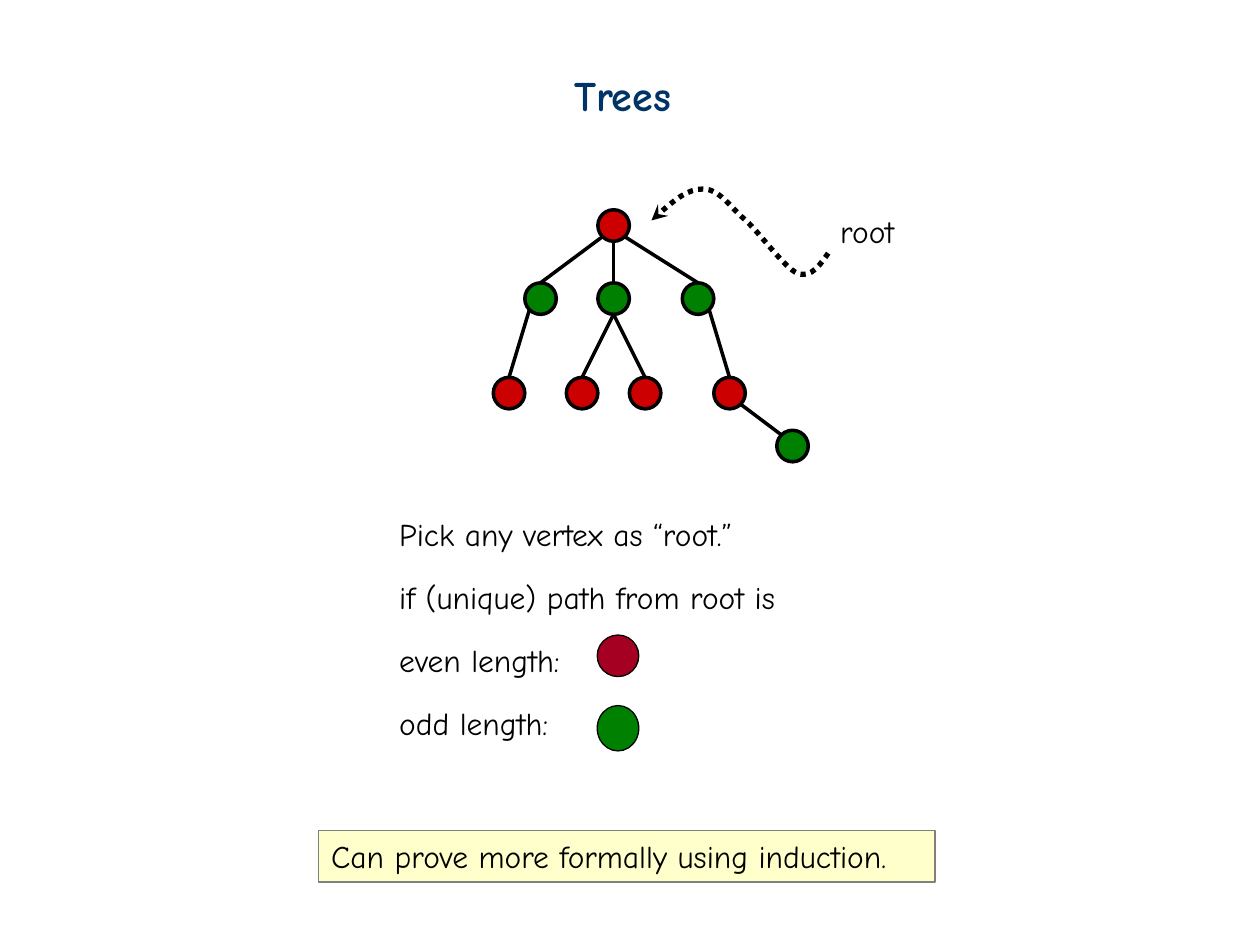
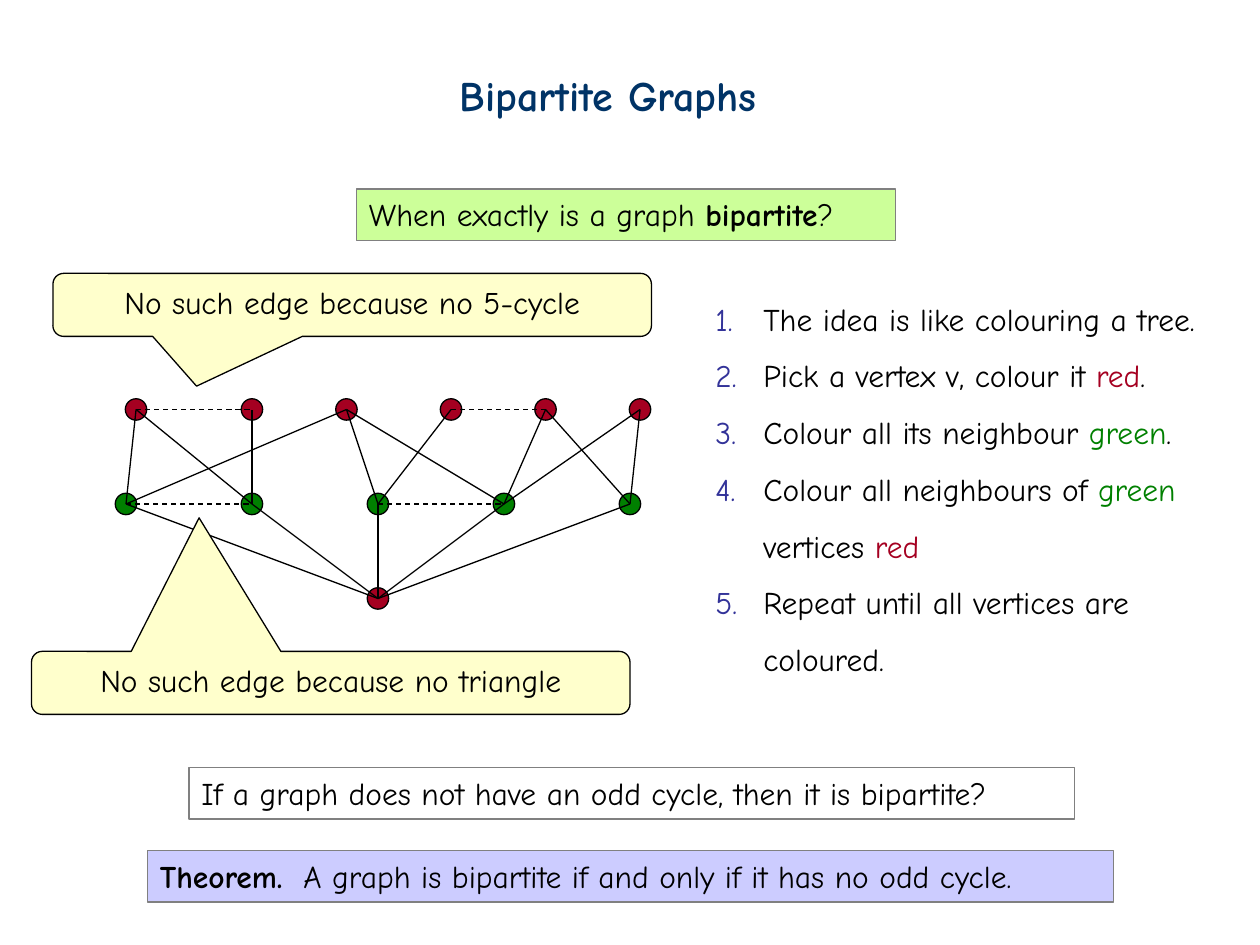
from dataclasses import dataclass
from math import cos, radians, sin

from lxml import etree
from pptx import Presentation
from pptx import util as u
from pptx.dml.color import RGBColor
from pptx.enum import dml, shapes, text
from pptx.oxml.ns import qn


@dataclass(frozen=True)
class Theme:
    font: str = "Comic Neue"
    title_size: int = 24
    body_size: int = 18
    title: str = "003366"
    ink: str = "000000"
    red: str = "A50021"
    bright_red: str = "CC0000"
    green: str = "008000"
    number: str = "333399"
    frame: str = "808080"
    note: str = "FFFFCC"
    question: str = "CCFF99"
    theorem: str = "CCCCFF"
    thin: float = 0.75
    thick: float = 2


THEME = Theme()
OVAL = shapes.MSO_SHAPE.OVAL
RECTANGLE = shapes.MSO_SHAPE.RECTANGLE
CALLOUT = shapes.MSO_SHAPE.ROUNDED_RECTANGULAR_CALLOUT


# ---- Shared helpers ----
def inches(*lengths):
    return [u.Inches(length) for length in lengths]


def sub(parent, tag, **attributes):
    return etree.SubElement(parent, qn(tag), attributes)


def write(frame, paragraphs, size=THEME.body_size, color=THEME.ink, bold=False,
          align=text.PP_ALIGN.LEFT, hanging=0, spacing=None, space_before=0,
          numbered=False, tab=None):
    """Fill a frame; a paragraph is a list of runs, a run is (text, changes)."""
    frame.word_wrap = True
    frame.vertical_anchor = text.MSO_ANCHOR.TOP
    for index, runs in enumerate(paragraphs):
        paragraph = frame.paragraphs[0] if index == 0 else frame.add_paragraph()
        properties = paragraph._p.get_or_add_pPr()
        if hanging:
            properties.set("marL", str(u.Inches(hanging)))
            properties.set("indent", str(-u.Inches(hanging)))
        if numbered:
            sub(sub(properties, "a:buClr"), "a:srgbClr", val=THEME.number)
            sub(properties, "a:buAutoNum", type="arabicPeriod")
        if tab:
            sub(sub(properties, "a:tabLst"), "a:tab", pos=str(u.Inches(tab)), algn="l")
        paragraph.alignment = align
        if index:
            paragraph.line_spacing = spacing
            paragraph.space_before = u.Pt(space_before)
        for words, changes in runs:
            run = paragraph.add_run()
            run.text = words
            run.font.name = THEME.font
            run.font.size = u.Pt(size)
            run.font.bold = changes.get("bold", bold)
            run.font.color.rgb = RGBColor.from_string(changes.get("color", color))


def plain(words):
    return [(words, {})]


def add_text(slide, box, paragraphs, **style):
    write(slide.shapes.add_textbox(*inches(*box)).text_frame, paragraphs, **style)


def add_shape(slide, kind, box, fill=None, line=THEME.ink, width=THEME.thin):
    shape = slide.shapes.add_shape(kind, *inches(*box))
    shape.shadow.inherit = False
    if fill:
        shape.fill.solid()
        shape.fill.fore_color.rgb = RGBColor.from_string(fill)
    else:
        shape.fill.background()
    shape.line.color.rgb = RGBColor.from_string(line)
    shape.line.width = u.Pt(width)
    return shape


def add_vertex(slide, center, diameter, fill, width=THEME.thin):
    x, y = center
    box = (x - diameter / 2, y - diameter / 2, diameter, diameter)
    add_shape(slide, OVAL, box, fill, width=width)


def add_edge(slide, start, end, width=THEME.thin, dashed=False):
    edge = slide.shapes.add_connector(shapes.MSO_CONNECTOR.STRAIGHT, *inches(*start, *end))
    edge.line.color.rgb = RGBColor.from_string(THEME.ink)
    edge.line.width = u.Pt(width)
    if dashed:
        edge.line.dash_style = dml.MSO_LINE.DASH
    sub(edge._element.spPr, "a:effectLst")


def add_title(slide, left, width, words):
    add_text(slide, (left, 0.5, width, 0.5), [plain(words)],
             size=THEME.title_size, color=THEME.title, bold=True)


def add_banner(slide, left, top, width, runs, fill=None, tab=None):
    banner = add_shape(slide, RECTANGLE, (left, top, width, 0.41), fill, THEME.frame)
    write(banner.text_frame, [runs], tab=tab)


def add_callout(slide, left, top, words, tip):
    callout = add_shape(slide, CALLOUT, (left, top, 4.75, 0.5), THEME.note)
    for index, value in enumerate((*tip, 0.17)):
        callout.adjustments[index] = value
    write(callout.text_frame, [plain(words)], align=text.PP_ALIGN.CENTER)


# ---- Slide 1: rooted tree ----
def draw_tree(slide, left, top):
    diameter = 0.25
    levels = [(0, [0.83]), (0.58, [0.25, 0.83, 1.5]),
              (1.33, [0, 0.58, 1.08, 1.75]), (1.75, [2.25])]
    centers = {(depth, index): (left + x, top + y)
               for depth, (y, row) in enumerate(levels) for index, x in enumerate(row)}

    def rim(vertex, angle):
        x, y = centers[vertex]
        return (x + diameter / 2 * cos(radians(angle)),
                y + diameter / 2 * sin(radians(angle)))

    # Parent, child and the angles (clockwise from the right) where an edge meets them
    edges = [((0, 0), (1, 0), 135, 270), ((0, 0), (1, 1), 90, 270),
             ((0, 0), (1, 2), 45, 270), ((1, 0), (2, 0), 135, 270),
             ((1, 1), (2, 1), 90, 270), ((1, 1), (2, 2), 90, 270),
             ((1, 2), (2, 3), 45, 270), ((2, 3), (3, 0), 45, 225)]
    for parent, child, leave, arrive in edges:
        add_edge(slide, rim(parent, leave), rim(child, arrive), THEME.thick)
    for (depth, index), center in centers.items():
        fill = THEME.green if depth % 2 else THEME.bright_red
        add_vertex(slide, center, diameter, fill, THEME.thick)


def draw_root_pointer(slide, left, top):
    add_text(slide, (left + 1.4, top + 0.13, 0.7, 0.4), [plain("root")])
    controls = [(0, 0.25), (0.14, 0.12), (0.29, 0), (0.41, 0),
                (0.54, 0), (0.62, 0.14), (0.75, 0.25),
                (0.87, 0.36), (1.05, 0.62), (1.16, 0.67),
                (1.27, 0.71), (1.34, 0.6), (1.41, 0.5)]
    points = [tuple(inches(left + x, top + y)) for x, y in controls]
    builder = slide.shapes.build_freeform(*points[0])
    builder.add_line_segments(points[1:], close=False)
    pointer = builder.convert_to_shape()
    pointer.shadow.inherit = False
    pointer.fill.background()
    pointer.line.color.rgb = RGBColor.from_string(THEME.ink)
    pointer.line.width = u.Pt(3)
    pointer.line.dash_style = dml.MSO_LINE.ROUND_DOT
    sub(pointer.line._get_or_add_ln(), "a:headEnd", type="stealth")
    # Turn every three straight steps into one Bézier curve
    outline = next(pointer._element.iter(qn("a:path")))
    steps = outline.findall(qn("a:lnTo"))
    for first in range(0, len(steps), 3):
        curve = sub(outline, "a:cubicBezTo")
        for step in steps[first:first + 3]:
            curve.append(step[0])
            outline.remove(step)


def draw_parity_rule(slide, left, top):
    lines = ["Pick any vertex as “root.”", "if (unique) path from root is",
             "even length:", "odd length:"]
    add_text(slide, (left, top, 3.75, 2.25), [plain(line) for line in lines],
             hanging=0.38, spacing=1.5, space_before=3.6)
    for offset, height, fill in [(1, 0.33, THEME.red), (1.56, 0.36, THEME.green)]:
        add_shape(slide, OVAL, (left + 1.67, top + offset, 0.33, height), fill)


def build_trees(slide):
    add_title(slide, 4.46, 1.13, "Trees")
    draw_root_pointer(slide, 5.17, 1.5)
    draw_tree(slide, 4.04, 1.79)
    draw_parity_rule(slide, 3.07, 4.04)
    add_banner(slide, 2.53, 6.59, 4.89,
               plain("Can prove more formally using induction."), THEME.note)


# ---- Slide 2: bipartite graph ----
def draw_bipartite_graph(slide, left, top):
    reds = [(left + x, top) for x in (0.08, 1, 1.75, 2.58, 3.33, 4.08)]
    greens = [(left + x, top + 0.75) for x in range(5)]
    start = (left + 2, top + 1.5)
    for centers, fill in [(reds + [start], THEME.red), (greens, THEME.green)]:
        for center in centers:
            add_vertex(slide, center, 0.17, fill)
    for green in greens:
        add_edge(slide, start, green)
    # Red neighbours of each green vertex
    for green, neighbours in zip(greens, [(0, 2), (0, 1), (2, 3), (2, 4, 5), (4, 5)]):
        for red in neighbours:
            add_edge(slide, green, reds[red])
    # Edges that cannot exist
    for row, first in [(reds, 0), (reds, 3), (greens, 0), (greens, 2)]:
        add_edge(slide, row[first], row[first + 1], dashed=True)


def draw_steps(slide, box):
    red, green = ("red", {"color": THEME.red}), ("green", {"color": THEME.green})
    steps = [
        plain("The idea is like colouring a tree."),
        [("Pick a vertex v, colour it ", {}), red, (".", {})],
        [("Colour all its neighbour ", {}), green, (".", {})],
        [("Colour all neighbours of ", {}), green, (" vertices ", {}), red],
        plain("Repeat until all vertices are coloured."),
    ]
    add_text(slide, box, steps, hanging=0.38, spacing=1.5, numbered=True)


def build_bipartite_graphs(slide):
    add_title(slide, 3.55, 2.87, "Bipartite Graphs")
    add_banner(slide, 2.83, 1.5, 4.28,
               [("When exactly is a graph ", {}), ("bipartite", {"bold": True}), ("?", {})],
               THEME.question)
    draw_bipartite_graph(slide, 1, 3.25)
    add_callout(slide, 0.42, 2.17, "No such edge because no 5-cycle", (-0.26, 1.29))
    add_callout(slide, 0.25, 5.17, "No such edge because no triangle", (-0.22, -2.62))
    draw_steps(slide, (5.58, 2.33, 4.17, 3.41))
    add_banner(slide, 1.5, 6.09, 7.03,
               plain("If a graph does not have an odd cycle, then it is bipartite?"))
    add_banner(slide, 1.17, 6.75, 7.67,
               [("Theorem.", {"bold": True}),
                ("\tA graph is bipartite if and only if it has no odd cycle.", {})],
               THEME.theorem, tab=1.14)


def main():
    presentation = Presentation()
    presentation.slide_width, presentation.slide_height = inches(10, 7.5)
    for build in (build_trees, build_bipartite_graphs):
        build(presentation.slides.add_slide(presentation.slide_layouts[6]))
    presentation.save("out.pptx")


if __name__ == "__main__":
    main()
